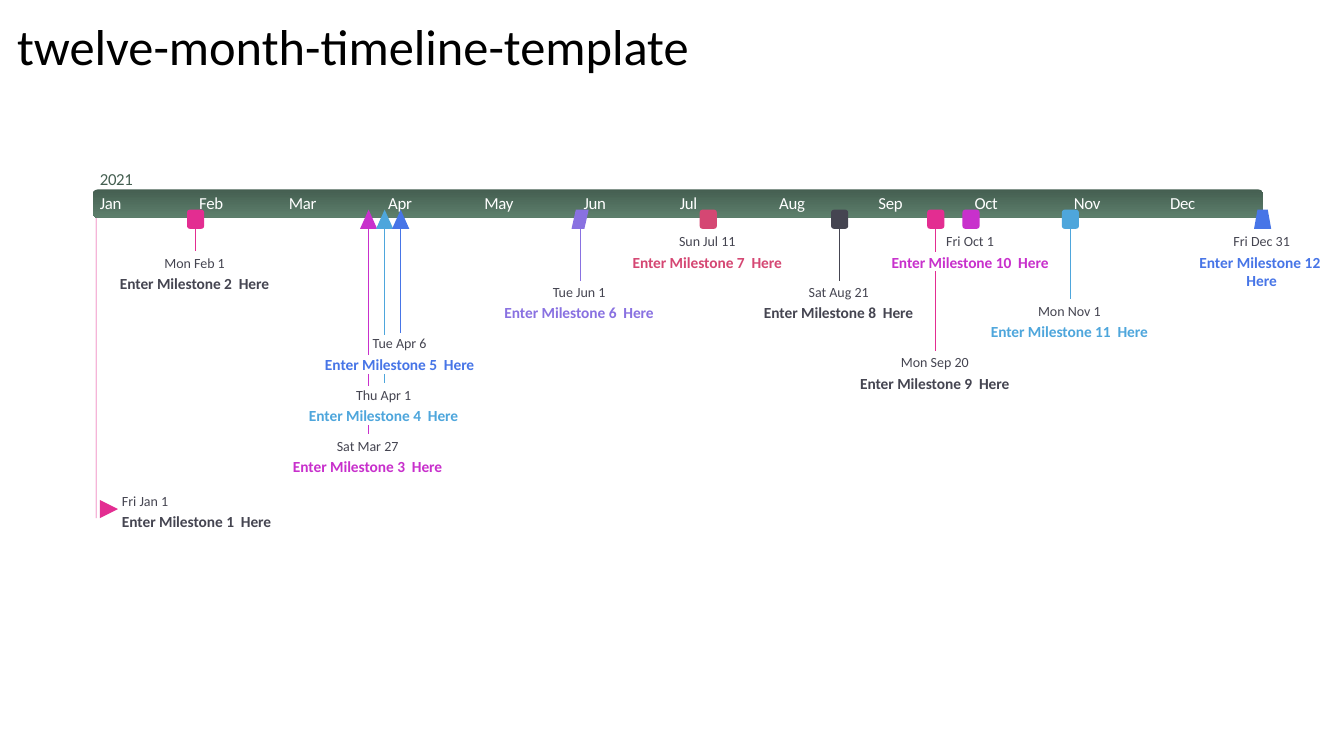
import pptx
import pptx.util
import pptx.dml.color
import pptx.oxml
import pptx.oxml.ns
from pptx.enum.shapes import MSO_CONNECTOR, MSO_SHAPE
from pptx.enum.text import MSO_ANCHOR, PP_ALIGN

# Page grid: cells of a tenth of an inch; the time axis has one column a day
CELL = 0.1
DAY = 116 / 365
AXIS_LEFT = 9.55
MONTH_LEFT = 9.9
MONTH_W = 5
MARK_W, MARK_H, MARK_TOP = 1.7, 1.9, 20.8
LINE_TOP = 21.8
FONT = "Calibri"
DARK, GREEN, WHITE = "454551", "455F51", "FFFFFF"
PINK, PURPLE, SKY, BLUE = "E32D91", "C830CC", "4EA6DC", "4775E7"
VIOLET, ROSE = "8971E1", "D54773"

SQUARE = MSO_SHAPE.ROUNDED_RECTANGLE
TRIANGLE = MSO_SHAPE.ISOSCELES_TRIANGLE
SLANTED = MSO_SHAPE.PARALLELOGRAM
TRAPEZOID = MSO_SHAPE.FLOWCHART_MANUAL_OPERATION

MONTHS = {"Jan": 31, "Feb": 28, "Mar": 31, "Apr": 30, "May": 31, "Jun": 30,
          "Jul": 31, "Aug": 31, "Sep": 30, "Oct": 31, "Nov": 30, "Dec": 31}

# number, date, marker, marker colour, label colour, label row, line pieces
MILESTONES = [
    (2, "Mon Feb 1", SQUARE, PINK, DARK, 25.2, [(LINE_TOP, 24.9)]),
    (3, "Sat Mar 27", TRIANGLE, PURPLE, PURPLE, 43.4,
     [(LINE_TOP, 35.2), (37.1, 38.3), (42.2, 43.1)]),
    (4, "Thu Apr 1", TRIANGLE, SKY, SKY, 38.3,
     [(LINE_TOP, 33.2), (37.1, 38)]),
    (5, "Tue Apr 6", TRIANGLE, BLUE, BLUE, 33.2, [(LINE_TOP, 33)]),
    (6, "Tue Jun 1", SLANTED, VIOLET, VIOLET, 28.1, [(LINE_TOP, 27.9)]),
    (7, "Sun Jul 11", SQUARE, ROSE, ROSE, 23.1, []),
    (8, "Sat Aug 21", SQUARE, DARK, DARK, 28.1, [(LINE_TOP, 27.9)]),
    (9, "Mon Sep 20", SQUARE, PINK, DARK, 35.1,
     [(LINE_TOP, 25), (26.9, 34.8)]),
    (10, "Fri Oct 1", SQUARE, PURPLE, PURPLE, 23.1, []),
    (11, "Mon Nov 1", SQUARE, SKY, SKY, 30, [(LINE_TOP, 29.7)]),
    (12, "Fri Dec 31", TRAPEZOID, BLUE, BLUE, 23.1, []),
]


def grid(*cells):
    return [pptx.util.Inches(c * CELL) for c in cells]


def rgb(value):
    return pptx.dml.color.RGBColor.from_string(value)


def day_of_year(month, day=1):
    names = list(MONTHS)
    return sum(MONTHS[m] for m in names[:names.index(month)]) + day - 1


def axis_x(date):
    month, day = date.split()[1:]
    return AXIS_LEFT + day_of_year(month, int(day)) * DAY


def add_run(p, text, size, color, bold=False, spacing=0):
    r = p.add_run()
    r.text = text
    r.font.name = FONT
    r.font.size = pptx.util.Pt(size)
    r.font.bold = bold
    r.font.color.rgb = rgb(color)
    if spacing:
        r.font._element.set("spc", str(spacing))


def add_text(s, box, text, size, color, align=PP_ALIGN.LEFT, wrap=False, **style):
    tf = s.shapes.add_textbox(*grid(*box)).text_frame
    tf.margin_left = tf.margin_right = tf.margin_top = tf.margin_bottom = 0
    tf.word_wrap = wrap
    tf.vertical_anchor = MSO_ANCHOR.MIDDLE
    p = tf.paragraphs[0]
    p.alignment = align
    add_run(p, text, size, color, **style)


def add_shape(s, kind, box, color=None):
    sp = s.shapes.add_shape(kind, *grid(*box))
    sp.shadow.inherit = False
    sp.line.fill.background()
    if color:
        sp.fill.solid()
        sp.fill.fore_color.rgb = rgb(color)
    return sp


def add_line(s, x, top, bottom, color, opacity=None):
    line = s.shapes.add_connector(MSO_CONNECTOR.STRAIGHT, *grid(x, top, x, bottom))
    line.line.width = pptx.util.Pt(0.75)
    line.line.color.rgb = rgb(color)
    sp_pr = line._element.spPr
    if opacity:
        clr = sp_pr.find(".//" + pptx.oxml.ns.qn("a:srgbClr"))
        alpha = pptx.oxml.parse_xml(
            f'<a:alpha {pptx.oxml.ns.nsdecls("a")} val="{opacity * 1000}"/>')
        clr.append(alpha)
    sp_pr.append(pptx.oxml.parse_xml(
        f'<a:effectLst {pptx.oxml.ns.nsdecls("a")}/>'))


def add_title(s, text):
    sp = s.shapes.title
    sp.left, sp.top, sp.width, sp.height = grid(0.7, 1, 80.9, 7.1)
    tf = sp.text_frame
    tf.vertical_anchor = MSO_ANCHOR.TOP
    p = tf.paragraphs[0]
    p.alignment = PP_ALIGN.LEFT
    add_run(p, text, 36, "000000")


def add_year_bar(s):
    bar = add_shape(s, SQUARE, (9.2, 18.8, 116.1, 2.8))
    bar.fill.gradient()
    bar.fill.gradient_angle = 270
    for stop, color, position in zip(bar.fill.gradient_stops, (GREEN, "5D7F6C"), (0, 1)):
        stop.color.rgb = rgb(color)
        stop.position = position
    add_text(s, (MONTH_LEFT, 16.7, MONTH_W, 2), "2021", 12, GREEN, spacing=-20)
    for month in MONTHS:
        x = MONTH_LEFT + day_of_year(month) * DAY
        add_text(s, (x, 19.2, MONTH_W, 1.9), month, 12, WHITE, spacing=-20)


def add_label(s, number, date, left, width, row, color, align):
    wrap = number == 12
    add_text(s, (left, row + 1.95, width, 3.7 if wrap else 1.9),
             f"Enter Milestone {number}  Here", 11, color, align, wrap,
             bold=True, spacing=0 if wrap else -6)
    add_text(s, (left, row, width, 1.7), date, 10, DARK, align)


def add_milestone(s, number, date, kind, color, label_color, row):
    x = axis_x(date)
    mark = add_shape(s, kind, (x - MARK_W / 2, MARK_TOP, MARK_W, MARK_H), color)
    if kind == TRAPEZOID:
        mark._element.spPr.get_or_add_xfrm().set("flipV", "1")
    width = 12.8 if number == 12 else 17
    add_label(s, number, date, x - 0.1 - width / 2, width, row, label_color,
              PP_ALIGN.CENTER)


def main():
    prs = pptx.Presentation()
    prs.slide_width = pptx.util.Inches(13.33)
    prs.slide_height = pptx.util.Inches(7.5)
    s = prs.slides.add_slide(prs.slide_layouts[5])
    add_title(s, "twelve-month-timeline-template")

    # Leader lines lie behind the bar
    add_line(s, AXIS_LEFT, 21.5, 51.4, PINK, opacity=35)
    for _, date, _, color, _, _, pieces in MILESTONES:
        for top, bottom in pieces:
            add_line(s, axis_x(date), top, bottom, color)

    add_year_bar(s)

    # First milestone: a flag at the foot of its line
    flag = add_shape(s, MSO_SHAPE.FLOWCHART_MERGE, (9.9, 49.6, 1.8, 1.8), PINK)
    flag.rotation = 270
    add_label(s, 1, "Fri Jan 1", 12.1, 17, 48.8, DARK, PP_ALIGN.LEFT)

    # Milestones on the bar
    for *milestone, _ in MILESTONES:
        add_milestone(s, *milestone)
    prs.save("out.pptx")


if __name__ == "__main__":
    main()
